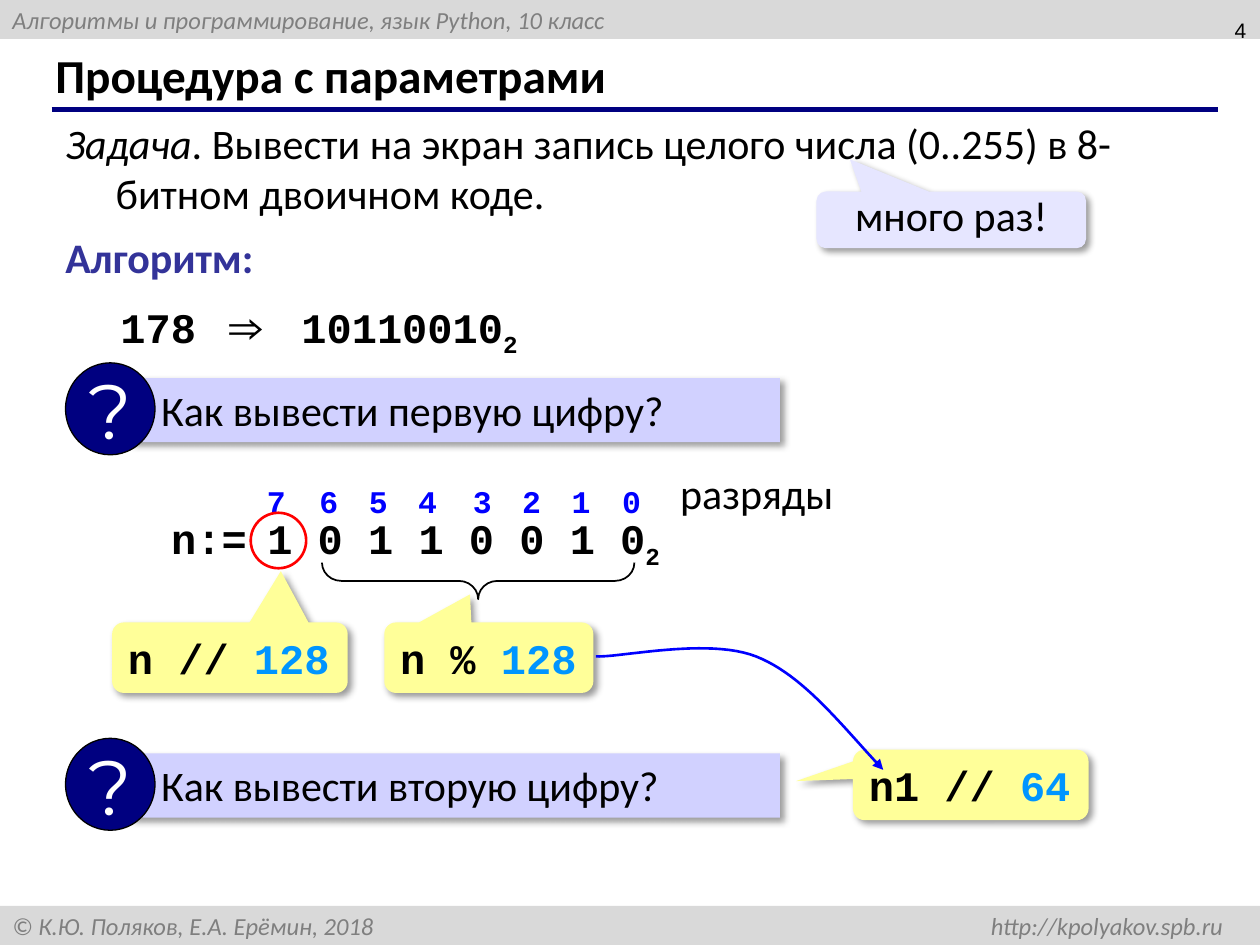
from lxml import etree
from pptx import Presentation
from pptx.dml.color import RGBColor
from pptx.enum.shapes import MSO_CONNECTOR, MSO_SHAPE
from pptx.enum.text import MSO_ANCHOR, MSO_AUTO_SIZE, PP_ALIGN
from pptx.oxml import parse_xml
from pptx.oxml.ns import nsdecls, qn
from pptx.util import Inches, Pt

RECT, OVAL = MSO_SHAPE.RECTANGLE, MSO_SHAPE.OVAL
CALL, BRACE = MSO_SHAPE.ROUNDED_RECTANGULAR_CALLOUT, MSO_SHAPE.LEFT_BRACE
TOP, MID = MSO_ANCHOR.TOP, MSO_ANCHOR.MIDDLE
LEFT, MIDDLE, RIGHT = PP_ALIGN.LEFT, PP_ALIGN.CENTER, PP_ALIGN.RIGHT

HUE = {"black": "000000", "white": "FFFFFF", "band": "D9D9D9", "gray": "7F7F7F",
       "navy": "000080", "indigo": "333399", "lilac": "D1D1FF", "pale": "E6E6FF",
       "yellow": "FFFF99", "sky": "0095FF", "blue": "0000FF", "red": "FF0000"}
RGB = {key: RGBColor.from_string(val) for key, val in HUE.items()}
BODY = {"name": "Calibri", "size": 24, "color": "black"}
CODE = {"name": "Courier New", "size": 24, "color": "black", "bold": True}
FOOT = {"name": "Calibri", "size": 14, "color": "gray", "italic": True}

deck = Presentation()
deck.slide_width, deck.slide_height = Inches(10), Inches(7.5)
COL, ROW = deck.slide_width / 100, deck.slide_height / 75
page = deck.slides.add_slide(deck.slide_layouts[5])
items = page.shapes


def write(item, runs, base, align=LEFT, anchor=TOP, wrap=True):
    frame = item.text_frame
    form = {"word_wrap": wrap, "vertical_anchor": anchor, "auto_size": MSO_AUTO_SIZE.NONE}
    for key, val in form.items():
        setattr(frame, key, val)
    para = frame.paragraphs[0]
    para.alignment = align
    for text, extra in runs:
        run = para.add_run()
        run.text = text
        for key, val in {**base, **extra}.items():
            if key == "color":
                run.font.color.rgb = RGB[val]
            elif key == "base":
                run._r.get_or_add_rPr().set("baseline", str(val))
            else:
                setattr(run.font, key, Pt(val) if key == "size" else val)
    return para


def draw(kind, box, fill=None, line=None, width=1, adj=(), shade=False):
    x, y, w, h = box
    spot = [round(v) for v in (x * COL, y * ROW, w * COL, h * ROW)]
    if kind is None:
        return items.add_textbox(*spot)
    item = items.add_shape(kind, *spot)
    item.shadow.inherit = False
    if fill:
        item.fill.solid()
        item.fill.fore_color.rgb = RGB[fill]
    else:
        item.fill.background()
    if line:
        item.line.color.rgb = RGB[line]
        item.line.width = Pt(width)
    else:
        item.line.fill.background()
    for n, val in enumerate(adj):
        item.adjustments[n] = val
    if shade:
        item._element.spPr.find(qn("a:effectLst")).append(parse_xml(
            f'<a:outerShdw {nsdecls("a")} blurRad="50800" dist="38100" dir="2700000" '
            'algn="tl" rotWithShape="0"><a:srgbClr val="000000">'
            '<a:alpha val="40000"/></a:srgbClr></a:outerShdw>'))
    return item


bands = [(0, "Алгоритмы и программирование, язык Python, 10 класс"),
         (71.9, "© К.Ю. Поляков, Е.А. Ерёмин, 2018 \thttp://kpolyakov.spb.ru")]
for y, text in bands:
    para = write(draw(RECT, (0, y, 100, 3.1), "band"), [(text, {})], FOOT, anchor=MID)
tabs = etree.SubElement(para._p.get_or_add_pPr(), qn("a:tabLst"))
etree.SubElement(tabs, qn("a:tab"), pos=str(round(96.1 * COL)), algn="r")

rule = items.add_connector(MSO_CONNECTOR.STRAIGHT, round(4.1 * COL), round(8.7 * ROW),
                           round(96.7 * COL), round(8.7 * ROW))
rule.line.color.rgb = RGB["navy"]
rule.line.width = Pt(3)
etree.SubElement(rule._element.spPr, qn("a:effectLst"))

title = items.title
spot = {"left": 3.4 * COL, "top": 3.3 * ROW, "width": 91.6 * COL, "height": 5.2 * ROW}
for key, val in spot.items():
    setattr(title, key, round(val))
write(title, [("Процедура с параметрами", {})], {**BODY, "size": 27, "bold": True}, anchor=MID)

write(draw(None, (76.6, -0.2, 23.3, 5.2)), [("4", {})],
      {"name": "Arial", "size": 12, "color": "black"}, RIGHT, MID)
task = write(draw(None, (4.2, 8.8, 92.7, 9.1)), [
    ("Задача", {"italic": True}),
    (". Вывести на экран запись целого числа (0..255) в 8-битном двоичном коде. ", {})], BODY)
hang = task._p.get_or_add_pPr()
hang.set("marL", str(round(4 * COL)))
hang.set("indent", str(round(-4 * COL)))

often = draw(CALL, (64.8, 15.2, 21.4, 4.5), "pale", adj=(-0.376, -1.069, 0.167), shade=True)
write(often, [("много раз!", {})], BODY, MIDDLE, MID).line_spacing = 0.8

ranks = []
for digit, gap in zip(("7 ", "6 ", "5 ", "4 ", "3 ", "2", " 1 "), (14, 11, 11, 16, 11, 11, 12)):
    ranks += [(digit, {}), (" ", {"size": gap})]
ranks.append(("0", {}))
low = ("2", {"base": -25000})
labels = [
    ((4.2, 17.9, 19.4, 5.1), [("Алгоритм:", {})], {**BODY, "bold": True, "color": "indigo"}, LEFT),
    ((8.5, 23.4, 8.1, 5.1), [("178", {})], CODE, MIDDLE),
    ((16.9, 23.4, 5.3, 5.1), [("⇒", {})], CODE, MIDDLE),
    ((22.4, 23.4, 20.2, 5.1), [("10110010", {}), low], CODE, MIDDLE),
    ((20.2, 37.8, 32.4, 4), ranks, {**CODE, "size": 18, "color": "blue"}, LEFT),
    ((20, 40.2, 33.6, 5.1), [("1 0 1 1 0 0 1 0", {}), low], CODE, MIDDLE),
    ((53, 36.6, 15.3, 5.1), [("разряды", {})], BODY, LEFT),
    ((12.6, 40.2, 8.1, 5.1), [("n:=", {})], CODE, LEFT)]
for box, runs, base, align in labels:
    write(draw(None, box), runs, base, align, wrap=False)

for y, text in ((28.8, "первую"), (58.6, "вторую")):
    bar = draw(RECT, (10.3, y + 1.2, 51.6, 5.1), "lilac", shade=True)
    write(bar, [(f"  Как вывести {text} цифру?", {})], BODY)
    disc = draw(OVAL, (5.2, y, 7.1, 7.3), "navy", "black", 0.75)
    write(disc, [("?", {})], {"name": "Montserrat", "size": 44, "color": "white"},
          MIDDLE, MID, False)

draw(OVAL, (19.9, 40.7, 4.4, 4.4), line="red", width=1.5)
brace = draw(BRACE, (36.5, 33.7, 2.9, 24.8), line="black", adj=(0.527, 0.5))
brace.rotation = 270

calls = [((8.9, 49.4, 18.7, 5.6), (0.216, -1.227), "n // ", "128"),
         ((30.5, 49.4, 16.6, 5.6), (-0.09, -0.898), "n % ", "128"),
         ((67.7, 59.5, 18.7, 5.6), (-0.742, -0.054), "n1 // ", "64")]
for box, tip, text, num in calls:
    item = draw(CALL, box, "yellow", adj=(*tip, 0.167), shade=True)
    write(item, [(text, {}), (num, {"color": "sky"})], CODE, wrap=False)

bends = [((70.1, 61.1), (66.8, 57.6), (63.8, 53.6), (60, 52.1)),
         ((60, 52.1), (56.2, 50.6), (49.2, 52.2), (47.3, 52.1))]
dots = []
for bend in bends:
    for n in range(1, 25):
        t = n / 24
        part = ((1 - t) ** 3, 3 * t * (1 - t) ** 2, 3 * t * t * (1 - t), t ** 3)
        dots.append((sum(k * p[0] for k, p in zip(part, bend)) * COL,
                     sum(k * p[1] for k, p in zip(part, bend)) * ROW))
path = items.build_freeform(round(70.1 * COL), round(61.1 * ROW))
path.add_line_segments(dots, close=False)
arrow = path.convert_to_shape()
arrow.shadow.inherit = False
arrow.fill.background()
arrow.line.color.rgb = RGB["blue"]
arrow.line.width = Pt(1.5)
etree.SubElement(arrow.line._get_or_add_ln(), qn("a:headEnd"), type="triangle")

deck.save("out.pptx")
